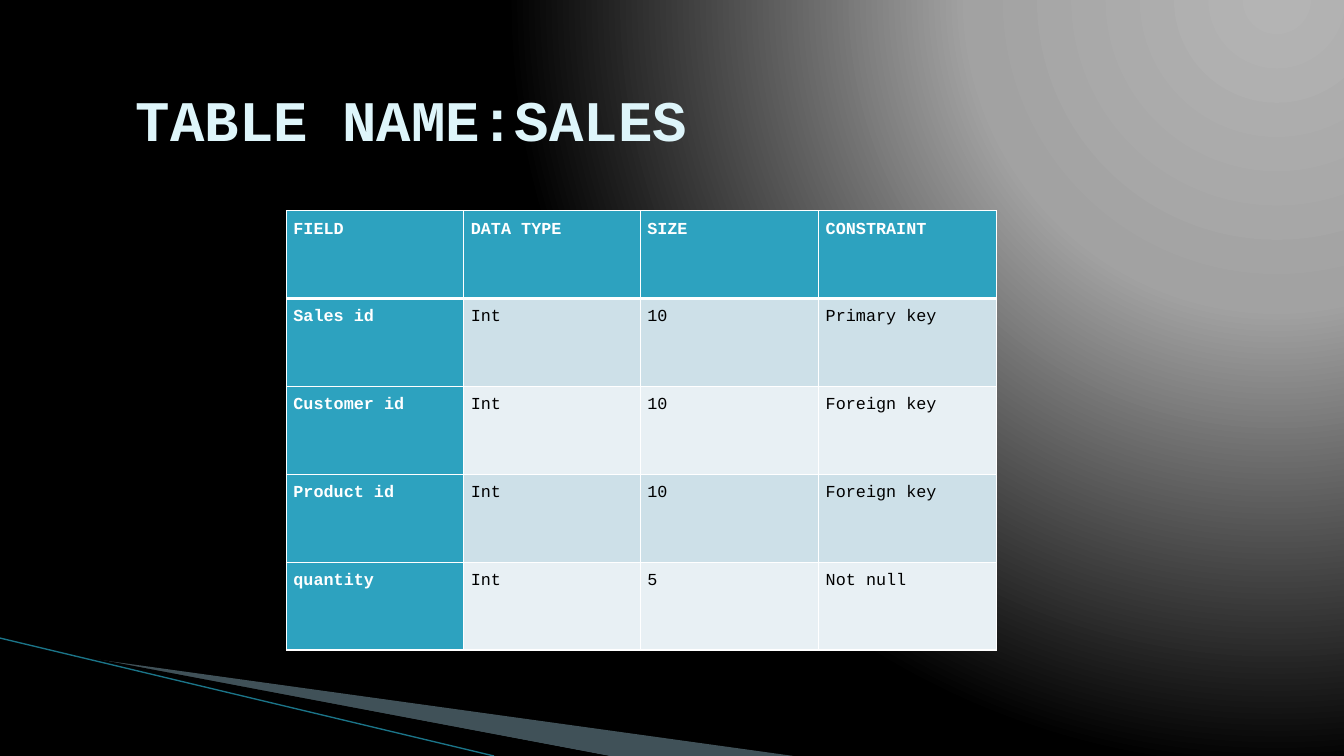
from lxml import etree
from pptx import Presentation
from pptx.dml.color import RGBColor
from pptx.enum.shapes import MSO_CONNECTOR
from pptx.enum.text import MSO_ANCHOR
from pptx.oxml import parse_xml
from pptx.oxml.ns import nsdecls, qn
from pptx.util import Inches, Pt

STRAIGHT = MSO_CONNECTOR.STRAIGHT
MIDDLE = MSO_ANCHOR.MIDDLE
FONT = "Courier New"
COLORS = {
    "title": "DEF5FA", "teal": "2DA2BF", "band_dark": "CDE0E8",
    "band_light": "E8F0F4", "white": "FFFFFF", "black": "000000",
    "wedge": "A0CBDC", "line": "1B7488",
}
BACKGROUND_STOPS = [(0, "B4B4B4"), (40, "A2A2A2"), (100, "000000")]
TITLE = "TABLE NAME:SALES"
ROWS = [
    ("FIELD", "DATA TYPE", "SIZE", "CONSTRAINT"),
    ("Sales id", "Int", "10", "Primary key"),
    ("Customer id", "Int", "10", "Foreign key"),
    ("Product id", "Int", "10", "Foreign key"),
    ("quantity", "Int", "5", "Not null"),
]
TABLE_BOX = (2.84, 2.09, 7.03, 4.36)
COLUMN_WIDTHS = (1.76, 1.75, 1.77, 1.76)
WEDGES = [
    ((1.04, 5.47, 5.54, 1.58),
     [(0.73, 6.51), (7.87, 7.5), (6.04, 7.5), (0.73, 6.5)], "wedge", 40),
    ((-0.08, 6.33, 5.54, 0.92),
     [(0.71, 6.49), (6.04, 7.5), (4.9, 7.5), (0.72, 6.5)], "black", 100),
]
LINE = (0, 6.33, 4.9, 7.5)


def rgb(name):
    return RGBColor.from_string(COLORS[name])


def set_background(s):
    stops = "".join(
        f'<a:gs pos="{pos * 1000}"><a:srgbClr val="{color}"/></a:gs>'
        for pos, color in BACKGROUND_STOPS)
    s._element.cSld.insert(0, parse_xml(
        f'<p:bg {nsdecls("p", "a")}><p:bgPr><a:gradFill><a:gsLst>{stops}</a:gsLst>'
        '<a:path path="circle"><a:fillToRect l="95000" t="-106000" r="5000" b="206000"/>'
        '</a:path></a:gradFill><a:effectLst/></p:bgPr></p:bg>'))


def set_frame(sp, frame):
    left, top, width, height = map(Inches, frame)
    dx, dy = sp.left - left, sp.top - top
    geometry = sp._element.spPr.find(qn("a:custGeom"))
    for outline in geometry.iter(qn("a:path")):
        outline.set("w", str(width))
        outline.set("h", str(height))
    for pt in geometry.iter(qn("a:pt")):
        pt.set("x", str(int(pt.get("x")) + dx))
        pt.set("y", str(int(pt.get("y")) + dy))
    sp.left, sp.top, sp.width, sp.height = left, top, width, height


def add_wedge(s, frame, points, color, opacity):
    start, *rest = [(Inches(x), Inches(y)) for x, y in points]
    builder = s.shapes.build_freeform(*start)
    builder.add_line_segments(rest)
    sp = builder.convert_to_shape()
    set_frame(sp, frame)
    sp.shadow.inherit = False
    sp.fill.solid()
    sp.fill.fore_color.rgb = rgb(color)
    sp.line.fill.background()
    if opacity < 100:
        clr = sp._element.spPr.find(qn("a:solidFill"))[0]
        etree.SubElement(clr, qn("a:alpha")).set("val", str(opacity * 1000))


def add_run(p, text, size, color, bold):
    r = p.add_run()
    r.text = text
    r.font.name = FONT
    r.font.size = Pt(size)
    r.font.bold = bold
    r.font.color.rgb = rgb(color)


def set_borders(cell, top, bottom):
    tcPr = cell._tc.get_or_add_tcPr()
    for side, width in (("L", 1), ("R", 1), ("T", top), ("B", bottom)):
        tcPr.append(parse_xml(
            f'<a:ln{side} {nsdecls("a")} w="{Pt(width)}"><a:solidFill>'
            f'<a:srgbClr val="{COLORS["white"]}"/></a:solidFill></a:ln{side}>'))


def add_table(s):
    left, top, width, height = map(Inches, TABLE_BOX)
    table = s.shapes.add_table(len(ROWS), len(ROWS[0]), left, top, width, height).table
    for column, column_width in zip(table.columns, COLUMN_WIDTHS):
        column.width = Inches(column_width)
    for i, row in enumerate(ROWS):
        for j, text in enumerate(row):
            cell = table.cell(i, j)
            heading = i == 0 or j == 0
            cell.margin_left = cell.margin_right = Inches(0.07)
            cell.margin_top = cell.margin_bottom = 0
            set_borders(cell, 3 if i == 1 else 1, 3 if i == 0 else 1)
            band = "band_dark" if i % 2 else "band_light"
            cell.fill.solid()
            cell.fill.fore_color.rgb = rgb("teal" if heading else band)
            p = cell.text_frame.paragraphs[0]
            p.line_spacing = 1.5
            add_run(p, text, 12, "white" if heading else "black", heading)


def main():
    prs = Presentation()
    prs.slide_width, prs.slide_height = Inches(13.33), Inches(7.5)
    s = prs.slides.add_slide(prs.slide_layouts[6])
    set_background(s)
    for wedge in WEDGES:
        add_wedge(s, *wedge)
    line = s.shapes.add_connector(STRAIGHT, *map(Inches, LINE))
    line.line.color.rgb = rgb("line")
    line.line.width = Pt(0.95)
    etree.SubElement(line._element.spPr, qn("a:effectLst"))

    tf = s.shapes.add_textbox(*map(Inches, (1.25, 0.68, 10.83, 0.99))).text_frame
    tf.word_wrap = True
    tf.vertical_anchor = MIDDLE
    add_run(tf.paragraphs[0], TITLE, 41, "title", True)
    add_table(s)
    prs.save("out.pptx")


if __name__ == "__main__":
    main()
